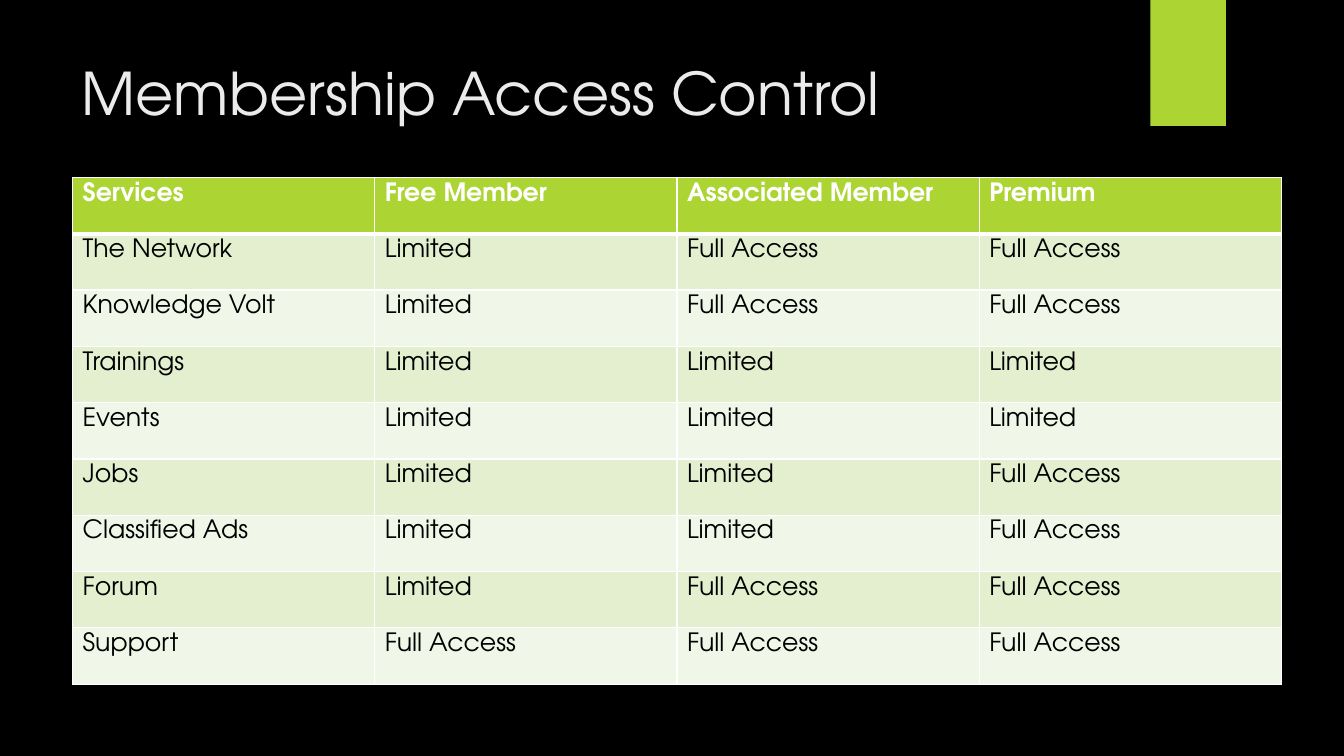
from lxml import etree
from pptx import Presentation
from pptx.dml.color import RGBColor
from pptx.enum.shapes import MSO_SHAPE
from pptx.enum.text import MSO_ANCHOR, PP_ALIGN
from pptx.oxml.ns import qn
from pptx.util import Inches, Pt

RECTANGLE = MSO_SHAPE.RECTANGLE
MIDDLE, TOP = MSO_ANCHOR.MIDDLE, MSO_ANCHOR.TOP
LEFT = PP_ALIGN.LEFT
FONT = "TeX Gyre Adventor"
GREEN, WHITE, BLACK = "ACD433", "FFFFFF", "000000"
BANDS = ["E3EFCE", "F1F7E8"]
FULL, LIMITED = "Full Access", "Limited"

ROWS = [
    ["Services", "Free Member", "Associated Member", "Premium"],
    ["The Network", LIMITED, FULL, FULL],
    ["Knowledge Volt", LIMITED, FULL, FULL],
    ["Trainings", LIMITED, LIMITED, LIMITED],
    ["Events", LIMITED, LIMITED, LIMITED],
    ["Jobs", LIMITED, LIMITED, FULL],
    ["Classified Ads", LIMITED, LIMITED, FULL],
    ["Forum", LIMITED, FULL, FULL],
    ["Support", FULL, FULL, FULL],
]


def write_text(text_frame, text, size=18, color=BLACK, bold=False, anchor=TOP):
    text_frame.word_wrap = True
    text_frame.vertical_anchor = anchor
    paragraph = text_frame.paragraphs[0]
    paragraph.alignment = LEFT
    run = paragraph.add_run()
    run.text = text
    run.font.name = FONT
    run.font.size = Pt(size)
    run.font.bold = bold
    run.font.color.rgb = RGBColor.from_string(color)


def add_borders(cell, widths):
    properties = cell._tc.get_or_add_tcPr()
    for index, (side, width) in enumerate(widths.items()):
        line = etree.Element(qn(f"a:{side}"), w=str(Pt(width)))
        fill = etree.SubElement(line, qn("a:solidFill"))
        etree.SubElement(fill, qn("a:srgbClr"), val=WHITE)
        properties.insert(index, line)


presentation = Presentation()
presentation.slide_width = Inches(13.33)
presentation.slide_height = Inches(7.5)
slide = presentation.slides.add_slide(presentation.slide_layouts[5])
slide.background.fill.solid()
slide.background.fill.fore_color.rgb = RGBColor.from_string(BLACK)

# Green tab at the top edge
tab = slide.shapes.add_shape(RECTANGLE, Inches(11.41), 0, Inches(0.75), Inches(1.25))
tab.shadow.inherit = False
tab.fill.solid()
tab.fill.fore_color.rgb = RGBColor.from_string(GREEN)
tab.line.fill.background()

# Title
title = slide.shapes.title
title.left, title.top = Inches(0.71), Inches(0.5)
title.width, title.height = Inches(10.29), Inches(0.82)
write_text(title.text_frame, "Membership Access Control",
           size=42, color="EBEBEB", anchor=MIDDLE)

# Access table
table = slide.shapes.add_table(
    len(ROWS), len(ROWS[0]),
    Inches(0.72), Inches(1.76), Inches(11.99), Inches(5.03)).table

for row_index, row in enumerate(ROWS):
    is_header = row_index == 0
    fill_color = GREEN if is_header else BANDS[(row_index - 1) % 2]
    widths = {"lnL": 1, "lnR": 1,
              "lnT": 3 if row_index == 1 else 1,
              "lnB": 3 if is_header else 1}
    for column_index, text in enumerate(row):
        cell = table.cell(row_index, column_index)
        cell.margin_left = cell.margin_right = Inches(0.1)
        cell.margin_top = cell.margin_bottom = Inches(0.05)
        cell.vertical_anchor = TOP
        cell.fill.solid()
        cell.fill.fore_color.rgb = RGBColor.from_string(fill_color)
        write_text(cell.text_frame, text,
                   color=WHITE if is_header else BLACK, bold=is_header)
        add_borders(cell, widths)

presentation.save("out.pptx")
